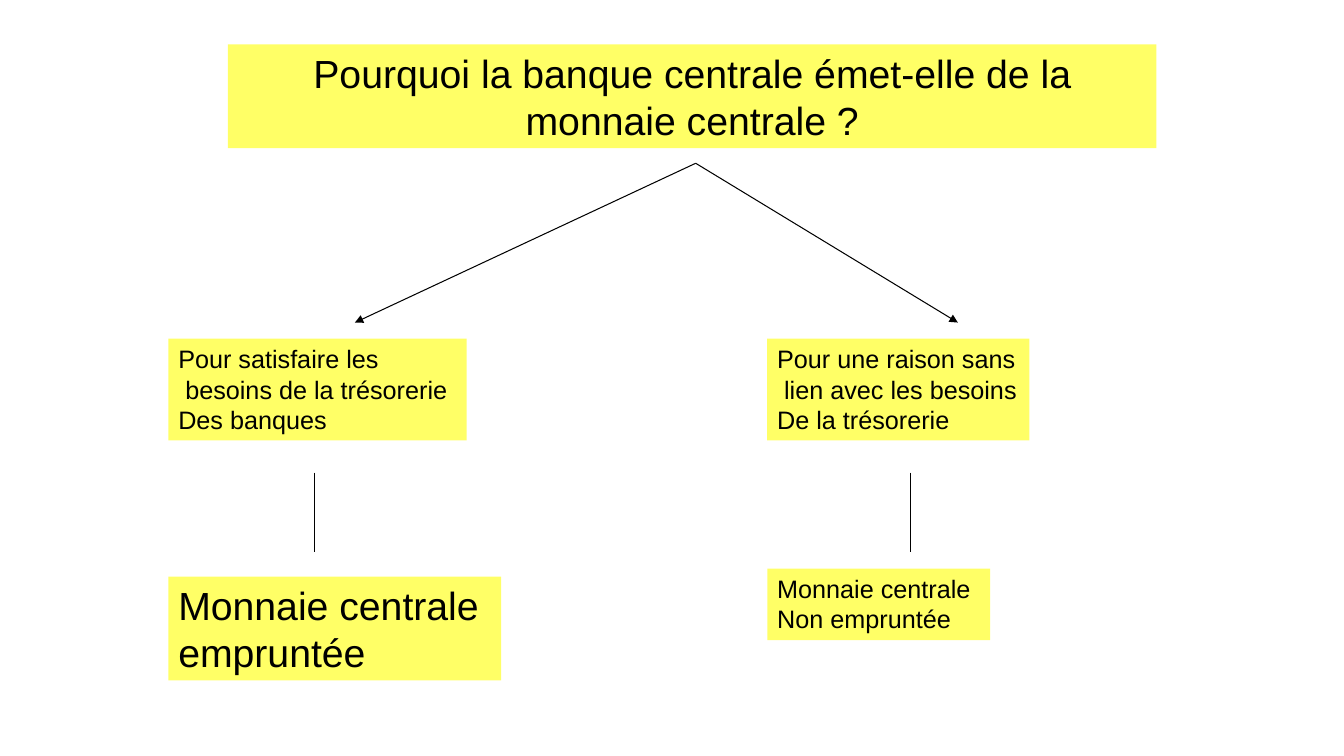
from dataclasses import dataclass

from lxml.etree import SubElement
from pptx import Presentation
from pptx.dml.color import RGBColor
from pptx.enum.shapes import MSO_CONNECTOR, MSO_SHAPE
from pptx.enum.text import MSO_ANCHOR, MSO_AUTO_SIZE, PP_ALIGN
from pptx.oxml.ns import qn
from pptx.shapes.autoshape import Shape
from pptx.slide import Slide
from pptx.util import Emu, Pt

YELLOW = RGBColor(0xFF, 0xFF, 0x66)
BLACK = RGBColor(0x00, 0x00, 0x00)
FONT = "Arial"
EMU_PER_PX = 9144


@dataclass(frozen=True)
class Box:
    left: int
    top: int
    width: int
    height: int
    size: int
    lines: tuple[str, ...]


@dataclass(frozen=True)
class Link:
    start: tuple[int, int]
    end: tuple[int, int]
    arrow: bool


QUESTION = Box(226, 44, 921, 103, 28,
               ("Pourquoi la banque centrale émet-elle de la monnaie centrale ?",))
LEFT_COLUMN, RIGHT_COLUMN = 167, 761
REASON_TOP = 336
BOXES = (
    Box(LEFT_COLUMN, REASON_TOP, 296, 101, 18,
        ("Pour satisfaire les", " besoins de la trésorerie", "Des banques")),
    Box(RIGHT_COLUMN, REASON_TOP, 260, 101, 18,
        ("Pour une raison sans", " lien avec les besoins", "De la trésorerie")),
    Box(LEFT_COLUMN, 572, 330, 103, 28, ("Monnaie centrale", "empruntée")),
    Box(RIGHT_COLUMN, 564, 221, 71, 18, ("Monnaie centrale", "Non empruntée")),
)
FORK = (690, 162)
LINKS = (
    Link(FORK, (352, 320), True),
    Link(FORK, (950, 320), True),
    Link((312, 469), (312, 548), False),
    Link((903, 469), (903, 548), False),
)


def px(value: int) -> Emu:
    return Emu(value * EMU_PER_PX)


def format_box(shape: Shape, box: Box, alignment: PP_ALIGN, wrap: bool) -> None:
    shape.left, shape.top = px(box.left), px(box.top)
    shape.width, shape.height = px(box.width), px(box.height)
    shape.fill.solid()
    shape.fill.fore_color.rgb = YELLOW
    shape.line.fill.background()
    shape.shadow.inherit = False
    frame = shape.text_frame
    frame.text = "\n".join(box.lines)
    frame.word_wrap = wrap
    frame.auto_size = MSO_AUTO_SIZE.SHAPE_TO_FIT_TEXT
    frame.vertical_anchor = MSO_ANCHOR.TOP
    for paragraph in frame.paragraphs:
        paragraph.alignment = alignment
        paragraph.font.name = FONT
        paragraph.font.size = Pt(box.size)
        paragraph.font.color.rgb = BLACK


def add_box(slide: Slide, box: Box) -> None:
    shape = slide.shapes.add_shape(
        MSO_SHAPE.RECTANGLE, px(box.left), px(box.top), px(box.width), px(box.height))
    format_box(shape, box, PP_ALIGN.LEFT, False)


def add_link(slide: Slide, link: Link) -> None:
    connector = slide.shapes.add_connector(
        MSO_CONNECTOR.STRAIGHT, *map(px, link.start + link.end))
    connector.line.color.rgb = BLACK
    connector.line.width = Pt(0.75)
    if link.arrow:
        SubElement(connector.line._get_or_add_ln(), qn("a:tailEnd"), type="triangle")
    SubElement(connector._element.spPr, qn("a:effectLst"))


def main() -> None:
    presentation = Presentation()
    presentation.slide_width = px(1333)
    presentation.slide_height = px(750)
    slide = presentation.slides.add_slide(presentation.slide_layouts[5])
    format_box(slide.shapes.title, QUESTION, PP_ALIGN.CENTER, True)
    for box in BOXES:
        add_box(slide, box)
    for link in LINKS:
        add_link(slide, link)
    presentation.save("out.pptx")


if __name__ == "__main__":
    main()
